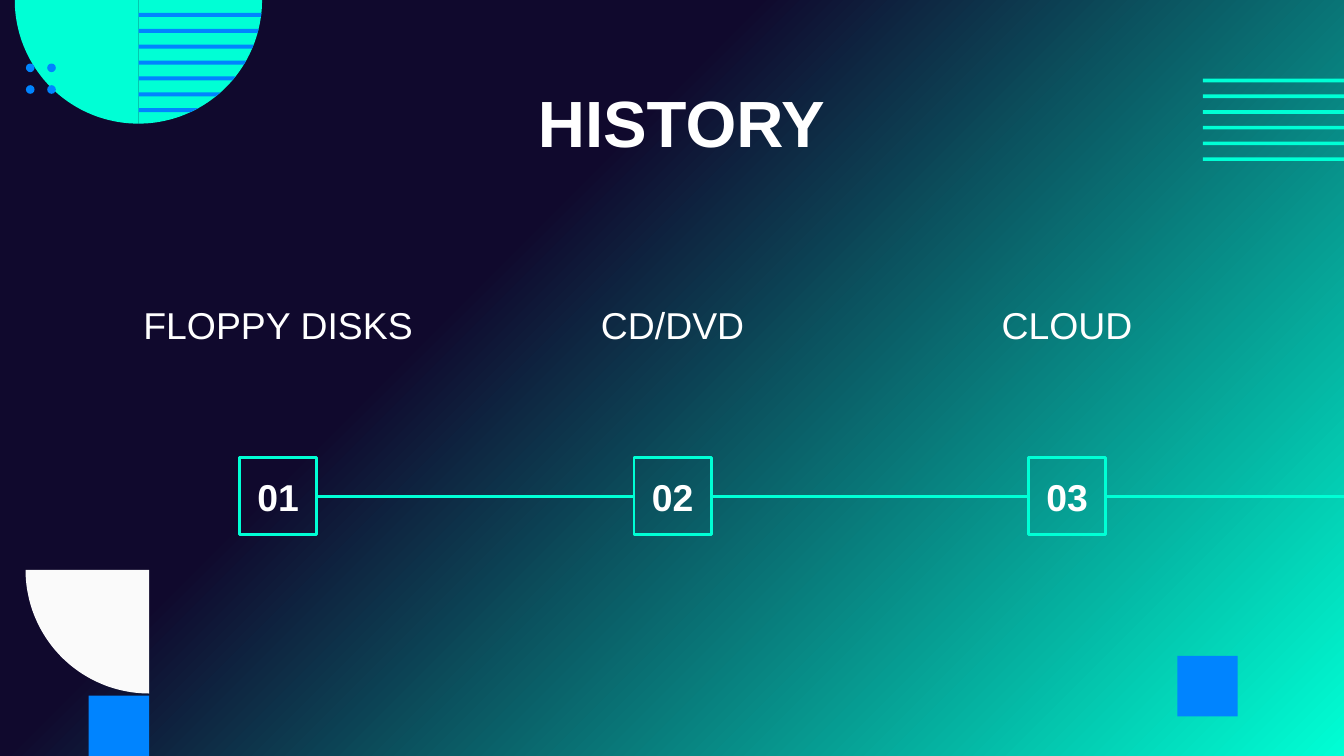
from copy import deepcopy
from dataclasses import dataclass
from itertools import product
from math import cos, radians, sin, sqrt

from lxml.etree import SubElement
from pptx import Presentation
from pptx.dml.color import RGBColor
from pptx.enum.shapes import MSO_CONNECTOR, MSO_SHAPE
from pptx.enum.text import MSO_ANCHOR, MSO_AUTO_SIZE, PP_ALIGN
from pptx.oxml.ns import qn
from pptx.util import Emu, Inches, Pt

# Square grid: 100 columns by 56.25 rows
COLUMNS, ROWS = 100, 56.25
CELL = Inches(10) / COLUMNS
NIGHT, MINT, BLUE, WHITE, PAPER = "10092D", "00FFD5", "0084FF", "FFFFFF", "FAFAFA"
MILESTONES = ["FLOPPY DISKS", "CD/DVD", "CLOUD"]


@dataclass
class Box:
    left: float
    top: float
    width: float
    height: float

    def emu(self):
        return [cells(n) for n in (self.left, self.top, self.width, self.height)]


def cells(count):
    return Emu(round(count * CELL))


def color(hex_code):
    return RGBColor.from_string(hex_code)


def paint(shape, hex_code):
    shape.shadow.inherit = False
    shape.fill.solid()
    shape.fill.fore_color.rgb = color(hex_code)
    shape.line.fill.background()


def add_block(slide, box, hex_code, preset=MSO_SHAPE.RECTANGLE):
    paint(slide.shapes.add_shape(preset, *box.emu()), hex_code)


def add_outline(slide, points, hex_code):
    """Draw a closed polygon through points given in grid cells."""
    corners = [(cells(x), cells(y)) for x, y in points]
    builder = slide.shapes.build_freeform(*corners[0])
    builder.add_line_segments(corners[1:], close=True)
    paint(builder.convert_to_shape(), hex_code)


def add_quarter_disc(slide, center_x, center_y, radius, start, hex_code):
    """Draw a 90 degree sector, clockwise from the start angle."""
    arc = [(center_x + radius * cos(radians(a)), center_y + radius * sin(radians(a)))
           for a in range(start, start + 91, 2)]
    add_outline(slide, [(center_x, center_y), *arc], hex_code)


def write(shape, text, size, bold=False, left_inset=0.1):
    frame = shape.text_frame
    frame.word_wrap = True
    frame.auto_size = MSO_AUTO_SIZE.NONE
    frame.vertical_anchor = MSO_ANCHOR.MIDDLE
    frame.margin_left = Inches(left_inset)
    frame.margin_top = frame.margin_right = frame.margin_bottom = Inches(0.1)
    paragraph = frame.paragraphs[0]
    paragraph.alignment = PP_ALIGN.CENTER
    run = paragraph.add_run()
    run.text = text
    run.font.name = "Arial"
    run.font.size = Pt(size)
    run.font.bold = bold
    run.font.color.rgb = color(hex_code=WHITE)


def set_background(slide):
    fill = slide.background.fill
    fill.gradient()
    fill.gradient_angle = 315
    first = fill.gradient_stops[0]
    first.color.rgb = color(NIGHT)
    stops = slide.background._cSld.find(".//" + qn("a:gsLst"))
    stops.insert(1, deepcopy(stops[0]))
    for stop, position, hex_code in zip(fill.gradient_stops, (0, 0.36, 1), (NIGHT, NIGHT, MINT)):
        stop.position = position
        stop.color.rgb = color(hex_code)


def add_half_disc(slide, box):
    """Hang a half disc from the top of the box, striped on the right."""
    center, radius = box.left + box.width / 2, box.height
    add_quarter_disc(slide, center, box.top, radius, 0, MINT)
    for row in range(7):
        upper = 0.97 + row * 1.18
        lower = upper + 0.3
        add_outline(slide, [
            (center, box.top + upper),
            (center + sqrt(radius ** 2 - upper ** 2), box.top + upper),
            (center + sqrt(radius ** 2 - lower ** 2), box.top + lower),
            (center, box.top + lower)], BLUE)
    add_quarter_disc(slide, center, box.top, radius, 90, MINT)


def add_dots(slide, box):
    diameter = 0.64
    for column, row in product(range(2), repeat=2):
        dot = Box(box.left + column * (box.width - diameter),
                  box.top + row * (box.height - diameter), diameter, diameter)
        add_block(slide, dot, BLUE, MSO_SHAPE.OVAL)


def add_stripes(slide, box, count=6, thickness=0.28):
    step = (box.height - thickness) / (count - 1)
    for row in range(count):
        add_block(slide, Box(box.left, box.top + row * step, box.width, thickness), MINT)


def add_corner(slide, box):
    """Stack a quarter disc over a square, both flush right."""
    square = 4.5
    right = box.left + box.width
    add_block(slide, Box(right - square, box.top + box.height - square, square, square), BLUE)
    add_quarter_disc(slide, right, box.top, box.width, 90, PAPER)


def add_title(slide, box):
    title = slide.shapes.title
    title.left, title.top, title.width, title.height = box.emu()
    write(title, "HISTORY", 35, bold=True, left_inset=0.23)


def add_link(slide, start, end=None):
    """Join two number boxes, or run from the last one to the slide's edge."""
    middle = start.top + start.height // 2
    link = slide.shapes.add_connector(
        MSO_CONNECTOR.STRAIGHT, start.left + start.width, middle, cells(COLUMNS), middle)
    link.begin_connect(start, 3)
    if end is not None:
        link.end_connect(end, 1)
    link.line.color.rgb = color(MINT)
    link.line.width = Pt(1.5)
    SubElement(link._element.spPr, qn("a:effectLst"))


def add_timeline(slide, box):
    label_width, side = 25.6, 5.76
    step = (box.width - label_width) / (len(MILESTONES) - 1)
    numbers = []
    for index, milestone in enumerate(MILESTONES):
        left = box.left + index * step
        label = Box(left, box.top, label_width, side)
        write(slide.shapes.add_textbox(*label.emu()), milestone, 20)
        frame = Box(left + (label_width - side) / 2, box.top + box.height - side, side, side)
        number = slide.shapes.add_shape(MSO_SHAPE.RECTANGLE, *frame.emu())
        number.shadow.inherit = False
        number.fill.background()
        number.line.color.rgb = color(MINT)
        number.line.width = Pt(1.5)
        write(number, f"{index + 1:02}", 20, bold=True)
        numbers.append(number)
    for start, end in zip(numbers, [*numbers[1:], None]):
        add_link(slide, start, end)


def main():
    deck = Presentation()
    deck.slide_width, deck.slide_height = cells(COLUMNS), cells(ROWS)
    slide = deck.slides.add_slide(deck.slide_layouts[5])
    set_background(slide)
    add_block(slide, Box(87.6, 48.8, 4.5, 4.5), BLUE)
    add_corner(slide, Box(1.9, 42.4, 9.2, 13.85))
    add_stripes(slide, Box(89.5, 5.85, 10.5, 6.13))
    add_half_disc(slide, Box(1.1, 0, 18.4, 9.2))
    add_dots(slide, Box(1.93, 4.73, 2.22, 2.25))
    add_timeline(slide, Box(7.9, 21.3, 84.3, 18.5))
    add_title(slide, Box(7.9, 5.9, 84.3, 6.3))
    deck.save("out.pptx")


if __name__ == "__main__":
    main()
